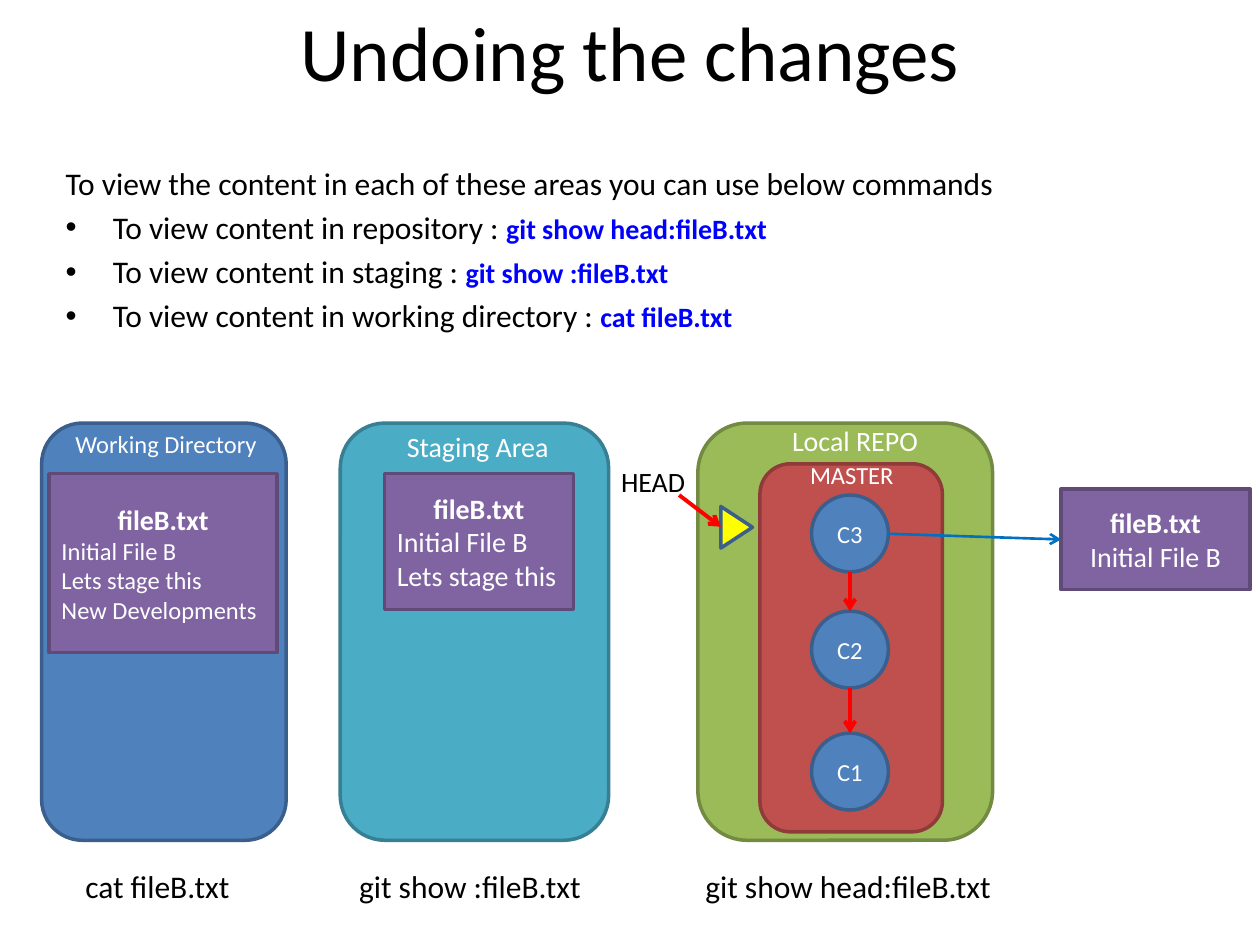
from lxml.etree import SubElement
from pptx import Presentation
from pptx.dml.color import RGBColor
from pptx.enum.shapes import MSO_CONNECTOR, MSO_SHAPE
from pptx.enum.text import MSO_ANCHOR, MSO_AUTO_SIZE, PP_ALIGN
from pptx.oxml.ns import qn
from pptx.util import Cm, Pt

BLUE, NAVY = "4F81BD", "3A5F8C"
WHITE, BLACK, RED = "FFFFFF", "000000", "FF0000"
LEFT, MID = PP_ALIGN.LEFT, PP_ALIGN.CENTER


def tint(code):
    return RGBColor.from_string(code)


def write(para, text, size=18, color=BLACK, bold=False, align=LEFT):
    para.alignment = align
    run = para.add_run()
    run.text = text
    font = run.font
    font.name = "Calibri"
    font.size = Pt(size)
    font.bold = bold
    font.color.rgb = tint(color)


class Board:
    def __init__(self, slide, face=WHITE, line=2):
        self.slide = slide
        self.face = face
        self.line = line

    def place(self, shape, box):
        shape.left, shape.top, shape.width, shape.height = map(Cm, box)

    def title(self, text, box):
        shape = self.slide.shapes.title
        self.place(shape, box)
        shape.text_frame.vertical_anchor = MSO_ANCHOR.MIDDLE
        write(shape.text_frame.paragraphs[0], text, size=44, align=MID)

    def body(self, lead, items, box):
        shape = self.slide.placeholders[1]
        self.place(shape, box)
        frame = shape.text_frame
        frame.auto_size = MSO_AUTO_SIZE.NONE
        first = frame.paragraphs[0]
        props = first._p.get_or_add_pPr()
        props.set("marL", "0")
        props.set("indent", "0")
        SubElement(props, qn("a:buNone"))
        first.space_before = Pt(0)
        write(first, lead)
        for text, code in items:
            para = frame.add_paragraph()
            props = para._p.get_or_add_pPr()
            props.set("marL", str(Cm(0.95)))
            props.set("indent", str(-Cm(0.95)))
            SubElement(props, qn("a:buChar")).set("char", "•")
            write(para, text)
            write(para, code, size=16, color="0000FF", bold=True)

    def shape(self, kind, box, fill, edge, turn=0):
        shape = self.slide.shapes.add_shape(kind, *map(Cm, box))
        shape.shadow.inherit = False
        shape.fill.solid()
        shape.fill.fore_color.rgb = tint(fill)
        shape.line.color.rgb = tint(edge)
        shape.line.width = Pt(self.line)
        shape.rotation = turn
        shape.text_frame.vertical_anchor = MSO_ANCHOR.MIDDLE
        return shape

    def panel(self, box, fill, edge):
        self.shape(MSO_SHAPE.ROUNDED_RECTANGLE, box, fill, edge)

    def node(self, text, box):
        shape = self.shape(MSO_SHAPE.FLOWCHART_CONNECTOR, box, BLUE, NAVY)
        write(shape.text_frame.paragraphs[0], text, size=14, color=self.face, align=MID)

    def file(self, lines, box, size=16, align=LEFT):
        shape = self.shape(MSO_SHAPE.RECTANGLE, box, "8064A2", "5F4A78")
        frame = shape.text_frame
        write(frame.paragraphs[0], "fileB.txt", size=16, color=self.face, bold=True, align=MID)
        for line in lines:
            write(frame.add_paragraph(), line, size=size, color=self.face, align=align)
        return shape

    def label(self, text, box, wrap=True, **style):
        shape = self.slide.shapes.add_textbox(*map(Cm, box))
        frame = shape.text_frame
        frame.word_wrap = wrap
        frame.auto_size = MSO_AUTO_SIZE.SHAPE_TO_FIT_TEXT
        write(frame.paragraphs[0], text, **style)

    def arrow(self, ends, color=RED, width=2.25):
        line = self.slide.shapes.add_connector(MSO_CONNECTOR.STRAIGHT, *map(Cm, ends))
        line.line.color.rgb = tint(color)
        line.line.width = Pt(width)
        SubElement(line.line._get_or_add_ln(), qn("a:tailEnd")).set("type", "arrow")
        SubElement(line._element.spPr, qn("a:effectLst"))
        return line


def main():
    deck = Presentation()
    deck.slide_width, deck.slide_height = Cm(25.4), Cm(19.05)
    board = Board(deck.slides.add_slide(deck.slide_layouts[1]))

    board.title("Undoing the changes", (0.13, -0.05, 25.15, 2.16))
    board.body(
        "To view the content in each of these areas you can use below commands",
        [
            ("To view content in repository : ", "git show head:fileB.txt"),
            ("To view content in staging : ", "git show :fileB.txt"),
            ("To view content in working directory : ", "cat fileB.txt"),
        ],
        (1.07, 3.18, 22.86, 4.65),
    )

    for left, width, fill, edge in [
        (0.84, 4.93, BLUE, NAVY),
        (6.86, 5.41, "4BACC6", "377F92"),
        (14.07, 5.94, "9BBB59", "738A42"),
    ]:
        board.panel((left, 8.53, width, 8.41), fill, edge)
    board.panel((15.32, 9.35, 3.68, 7.42), "C0504D", "8E3B39")

    for text, box, size, align in [
        ("Working Directory", (1.27, 8.53, 5.28, 0.86), 14, LEFT),
        ("Staging Area", (6.99, 8.53, 5.28, 0.94), 16, MID),
        ("Local REPO", (15.24, 8.41, 3.99, 0.94), 16, MID),
        ("MASTER", (16.08, 9.14, 2.79, 0.86), 14, LEFT),
    ]:
        board.label(text, box, size=size, color=WHITE, align=align)

    side, left = 1.55, 16.36
    tops = [9.98, 12.32, 14.78]
    center = left + side / 2
    for text, top in zip(("C3", "C2", "C1"), tops):
        board.node(text, (left, top, side, side))
    for top, below in zip(tops, tops[1:]):
        board.arrow((center, top + side, center, below))

    board.shape(MSO_SHAPE.ISOSCELES_TRIANGLE, (14.43, 10.31, 0.84, 0.64), "FFFF00", NAVY, turn=90)
    board.arrow((13.69, 9.98, 14.53, 10.62))
    board.label("HEAD", (12.27, 9.25, 1.83, 0.94), wrap=False, size=16)

    lines = ["Initial File B", "Lets stage this", "New Developments"]
    board.file(lines, (0.99, 9.55, 4.6, 3.61), size=14)
    board.file(lines[:2], (7.75, 9.55, 3.81, 2.74))
    saved = board.file(lines[:1], (21.39, 9.86, 3.81, 2.03), align=MID)
    link = board.arrow((left + side, 10.76, 21.39, 10.87), color="0070C0", width=1.5)
    link.end_connect(saved, 1)

    for text, start, width in [
        ("cat fileB.txt", 1.47, 3.45),
        ("git show :fileB.txt", 6.99, 5.03),
        ("git show head:fileB.txt", 13.97, 6.35),
    ]:
        board.label(text, (start, 17.35, width, 1.02), wrap=False)

    deck.save("out.pptx")


if __name__ == "__main__":
    main()
